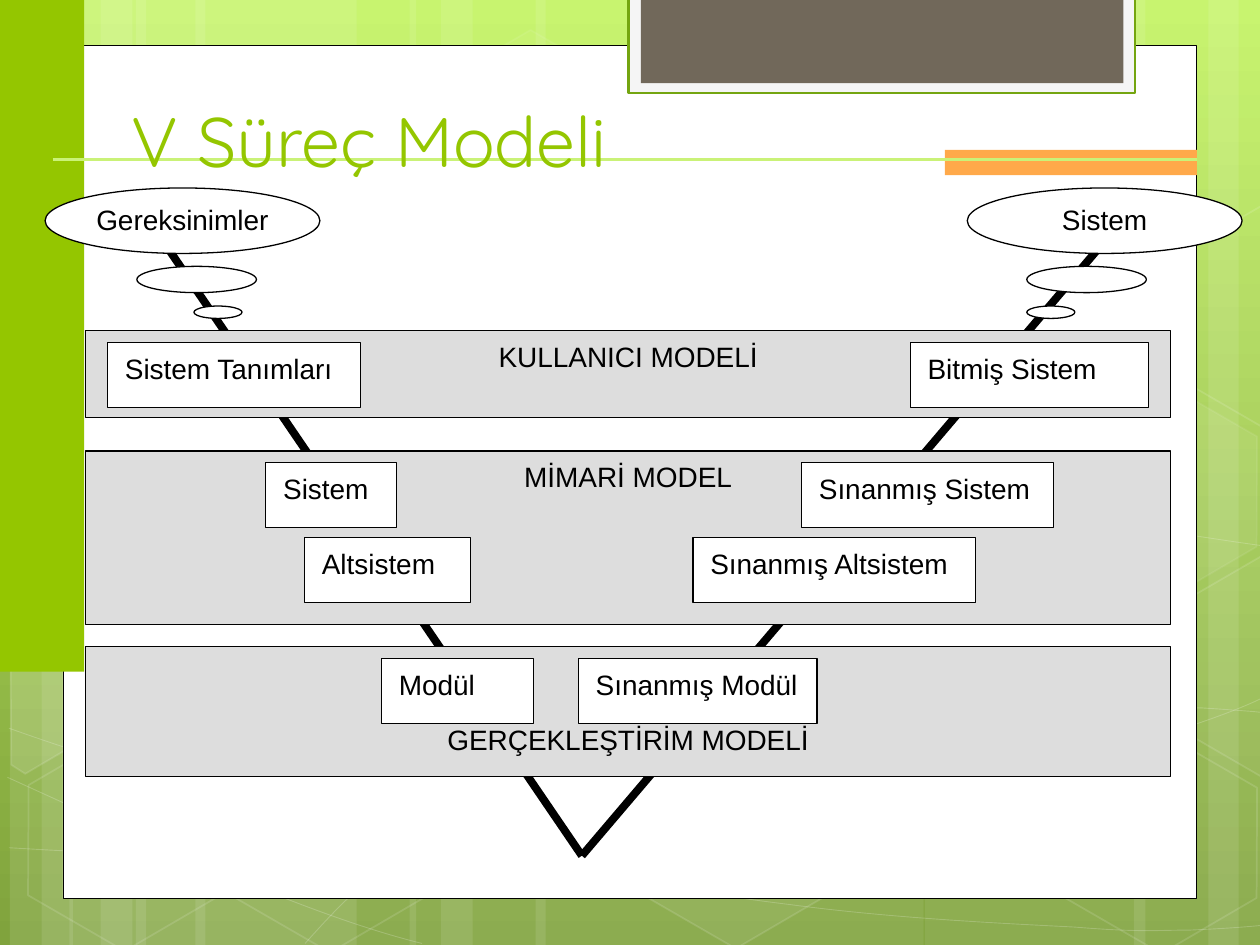
import dataclasses

import lxml.etree
import pptx
import pptx.dml.color
import pptx.enum.shapes
import pptx.enum.text
import pptx.oxml.ns
import pptx.util

Cm = pptx.util.Cm
Pt = pptx.util.Pt
qn = pptx.oxml.ns.qn
RGB = pptx.dml.color.RGBColor.from_string
SHAPE = pptx.enum.shapes.MSO_SHAPE
STRAIGHT = pptx.enum.shapes.MSO_CONNECTOR.STRAIGHT
ANCHOR = pptx.enum.text.MSO_ANCHOR
ALIGN = pptx.enum.text.PP_ALIGN


@dataclasses.dataclass(frozen=True)
class Theme:
    sky: str = "C2F35F"
    grass: str = "80A33D"
    white: str = "FFFFFF"
    black: str = "000000"
    band: str = "DDDDDD"
    green: str = "94C600"
    frame: str = "F5F5F5"
    frame_line: str = "74A510"
    brown: str = "71685A"
    orange: str = "FFA94A"
    rule: str = "CAF278"
    title_font: str = "Quicksand"
    body_font: str = "Arial"
    title_size: int = 40
    body_size: int = 16


theme = Theme()


def paint(shape, fill=None, line=None, width=0.75, fill_alpha=100, line_alpha=100):
    shape.shadow.inherit = False
    if fill:
        shape.fill.solid()
        shape.fill.fore_color.rgb = RGB(fill)
    else:
        shape.fill.background()
    if line:
        shape.line.color.rgb = RGB(line)
        shape.line.width = Pt(width)
    else:
        shape.line.fill.background()
    for query, alpha in (("./a:solidFill/a:srgbClr", fill_alpha),
                         ("./a:ln/a:solidFill/a:srgbClr", line_alpha)):
        for color in shape._element.spPr.xpath(query):
            if alpha < 100:
                lxml.etree.SubElement(color, qn("a:alpha"), val=str(alpha * 1000))


def write(shape, text, align, anchor, side=0.35, top=0.18, bottom=0.18):
    frame = shape.text_frame
    frame.word_wrap = True
    frame.vertical_anchor = anchor
    frame.margin_left = frame.margin_right = Cm(side)
    frame.margin_top, frame.margin_bottom = Cm(top), Cm(bottom)
    paragraph = frame.paragraphs[0]
    paragraph.text = text
    paragraph.alignment = align
    paragraph.font.name = theme.body_font
    paragraph.font.size = Pt(theme.body_size)
    paragraph.font.color.rgb = RGB(theme.black)


presentation = pptx.Presentation()
presentation.slide_width, presentation.slide_height = Cm(25.4), Cm(19.05)
slide = presentation.slides.add_slide(presentation.slide_layouts[5])
shapes = slide.shapes

background = slide.background.fill
background.gradient()
background.gradient_angle = 270
for stop, color, position in zip(background.gradient_stops, (theme.sky, theme.grass), (0, 1)):
    stop.color.rgb = RGB(color)
    stop.position = position

stripes = [(2.74, 4.45), (0.2, 1.27), (0.84, 2.11), (3.94, 4.45), (1.4, 1.27), (2.03, 2.11),
           (18.64, 4.45), (24.36, 1.27), (22.86, 2.11), (10.8, 7.82), (8.26, 1.27), (8.89, 2.11)]
for left, width in stripes:
    stripe = shapes.add_shape(SHAPE.RECTANGLE, Cm(left), 0, Cm(width), presentation.slide_height)
    paint(stripe, theme.white, fill_alpha=10)

curves = [
    [(0.18, 17.09), (1.55, 17.17), (2.92, 17.25), (4.83, 17.22), (6.73, 17.2), (9.09, 17.15),
     (11.63, 16.89), (14.17, 16.64), (17.78, 16.15), (20.12, 15.67), (22.43, 15.19),
     (24.82, 14.43), (25.58, 14)],
    [(0.18, 12.12), (0.91, 11.71), (1.65, 11.33), (3.07, 10.95), (4.52, 10.57), (6.58, 9.98),
     (8.81, 9.83), (11.07, 9.68), (13.82, 9.63), (16.61, 9.83), (19.41, 10.03),
     (24.05, 10.82), (25.58, 11.02)],
    [(0.15, 15.67), (3.22, 17.07), (6.27, 18.47), (8.51, 19.02)],
    [(0.18, 14.68), (0.97, 14.96), (1.78, 15.24), (3.25, 15.65), (4.72, 16.03), (6.93, 16.66),
     (9.07, 17.09), (11.18, 17.53), (13.84, 17.98), (15.95, 18.24), (18.06, 18.52),
     (20.32, 18.62), (21.67, 18.69), (23.01, 18.8), (23.34, 18.75), (24, 18.75),
     (24.66, 18.72), (25.12, 18.69), (25.58, 18.64)],
    [(6.15, 19.02), (6.6, 18.52), (7.06, 18.01), (7.67, 17.55), (8.28, 17.07), (9.14, 16.59),
     (9.86, 16.23), (10.57, 15.88), (11, 15.72), (11.91, 15.47), (12.85, 15.21),
     (14.55, 14.86), (15.44, 14.68), (16.36, 14.5), (16.48, 14.5), (17.27, 14.45),
     (18.06, 14.38), (19.3, 14.3), (20.17, 14.27), (21.06, 14.25), (22.5, 14.27),
     (22.5, 14.27), (23.07, 14.27), (23.64, 14.27), (24.21, 14.27), (24.66, 14.3),
     (25.1, 14.33), (25.32, 14.35), (25.55, 14.38), (25.48, 14.35), (25.55, 14.38)],
]
for curve in curves:
    points = [(Cm(x), Cm(y)) for x, y in curve]
    builder = shapes.build_freeform(*points[0])
    builder.add_line_segments(points[1:], close=False)
    arc = builder.convert_to_shape()
    segments = arc._element.spPr.xpath(".//a:lnTo")
    for first in range(0, len(segments), 3):
        bezier = lxml.etree.Element(qn("a:cubicBezTo"))
        segments[first].addprevious(bezier)
        for segment in segments[first:first + 3]:
            bezier.append(segment[0])
            segment.getparent().remove(segment)
    paint(arc, line=theme.white, width=0.5, line_alpha=20)

hexagons = [(8.48, 0.91, 4, 8), (12.6, 14.96, 6, 12), (0.28, 15.01, 0, 12), (0.36, 7.92, 7, 8),
            (4.42, 15.04, 0, 12), (19.13, 11.51, 10, 12), (21.18, 15.06, 0, 12), (21.18, 7.98, 7, 8)]
for left, top, fill_alpha, line_alpha in hexagons:
    hexagon = shapes.add_shape(SHAPE.HEXAGON, Cm(left), Cm(top), Cm(4.45), Cm(3.86))
    hexagon.adjustments[0] = 0.285
    hexagon.rotation = 30
    paint(hexagon, theme.white if fill_alpha else None, theme.white, 1, fill_alpha, line_alpha)

cut_hexagons = [
    (10, [(0.2, 11.3), (0.48, 11.13), (2.44, 12.27), (2.41, 14.48), (0.51, 15.6), (0.23, 15.42)]),
    (4, [(23.52, 12.32), (25.45, 11.2), (25.63, 11.33), (25.63, 15.57), (25.45, 15.67), (23.52, 14.55)]),
    (0, [(23.52, 5.26), (25.45, 4.14), (25.65, 4.27), (25.63, 8.51), (25.45, 8.61), (23.52, 7.49)]),
]
for fill_alpha, corners in cut_hexagons:
    points = [(Cm(x), Cm(y)) for x, y in corners]
    builder = shapes.build_freeform(*points[0])
    builder.add_line_segments(points[1:], close=True)
    paint(builder.convert_to_shape(), theme.white if fill_alpha else None, theme.white, 1, fill_alpha, 12)

panels = [
    (1.27, 0.91, 22.86, 17.2, theme.white, theme.black, 0.5),
    (12.67, -0.05, 10.22, 1.93, theme.frame, theme.frame_line, 1.25),
    (12.92, -0.05, 9.73, 1.73, theme.brown, None, 0),
    (0, 0, 1.7, 13.54, theme.green, None, 0),
    (19.05, 3.02, 5.08, 0.51, theme.orange, None, 0),
]
for left, top, width, height, fill, line, line_width in panels:
    panel = shapes.add_shape(SHAPE.RECTANGLE, Cm(left), Cm(top), Cm(width), Cm(height))
    paint(panel, fill, line, line_width)

lines = [
    (1.06, 3.22, 24.13, 3.22, theme.rule, 1.5),
    (3.28, 4.85, 11.73, 17.25, theme.black, 4.5),
    (11.73, 17.25, 22.28, 4.85, theme.black, 4.5),
]
for start_x, start_y, end_x, end_y, color, width in lines:
    connector = shapes.add_connector(STRAIGHT, Cm(start_x), Cm(start_y), Cm(end_x), Cm(end_y))
    connector.line.color.rgb = RGB(color)
    connector.line.width = Pt(width)
    lxml.etree.SubElement(connector._element.spPr, qn("a:effectLst"))

title = shapes.title
title.left, title.top, title.width, title.height = Cm(2.4), Cm(0.61), Cm(19.51), Cm(3.18)
write(title, "V Süreç Modeli", ALIGN.LEFT, ANCHOR.BOTTOM, 0.25, 0.13, 0.13)
title.text_frame.auto_size = pptx.enum.text.MSO_AUTO_SIZE.NONE
title_font = title.text_frame.paragraphs[0].font
title_font.name = theme.title_font
title_font.size = Pt(theme.title_size)
title_font.color.rgb = RGB(theme.green)
shapes._spTree.append(title._element)

bands = [
    (6.67, 1.75, "KULLANICI MODELİ", ANCHOR.TOP),
    (9.09, 3.5, "MİMARİ MODEL", ANCHOR.TOP),
    (13.03, 2.62, "GERÇEKLEŞTİRİM MODELİ", ANCHOR.BOTTOM),
]
for top, height, text, anchor in bands:
    band = shapes.add_shape(SHAPE.RECTANGLE, Cm(1.73), Cm(top), Cm(21.87), Cm(height))
    paint(band, theme.band, theme.black)
    write(band, text, ALIGN.CENTER, anchor, bottom=0.41)

boxes = [
    (2.17, 6.91, 5.1, "Sistem Tanımları"),
    (18.35, 6.91, 4.8, "Bitmiş Sistem"),
    (5.36, 9.33, 2.63, "Sistem"),
    (16.16, 9.33, 5.08, "Sınanmış Sistem"),
    (6.14, 10.84, 3.35, "Altsistem"),
    (13.97, 10.84, 5.69, "Sınanmış Altsistem"),
    (7.69, 13.28, 3.07, "Modül"),
    (11.66, 13.28, 4.81, "Sınanmış Modül"),
]
for left, top, width, text in boxes:
    box = shapes.add_shape(SHAPE.RECTANGLE, Cm(left), Cm(top), Cm(width), Cm(1.31))
    paint(box, theme.white, theme.black)
    write(box, text, ALIGN.LEFT, ANCHOR.TOP)

bubble_sizes = [(3.79, 5.54, 1.32), (5.37, 2.41, 0.53), (6.17, 0.97, 0.25)]
clouds = [("Gereksinimler", (0.91, 2.76, 3.91)), ("Sistem", (19.5, 20.7, 20.7))]
for text, lefts in clouds:
    for left, (top, width, height) in zip(lefts, bubble_sizes):
        bubble = shapes.add_shape(SHAPE.OVAL, Cm(left), Cm(top), Cm(width), Cm(height))
        paint(bubble, theme.white, theme.black)
        if top == bubble_sizes[0][0]:
            write(bubble, text, ALIGN.CENTER, ANCHOR.TOP, 0.2, 0.1, 0.1)

presentation.save("out.pptx")
